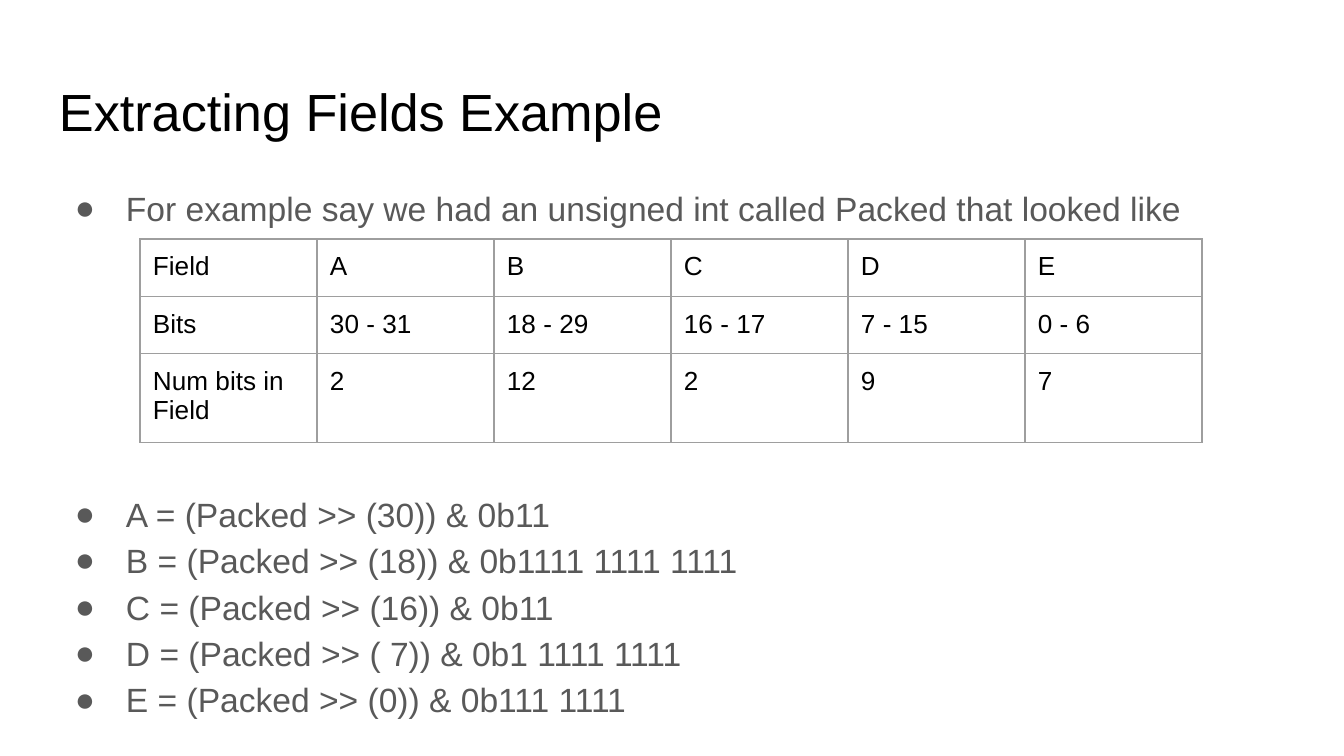
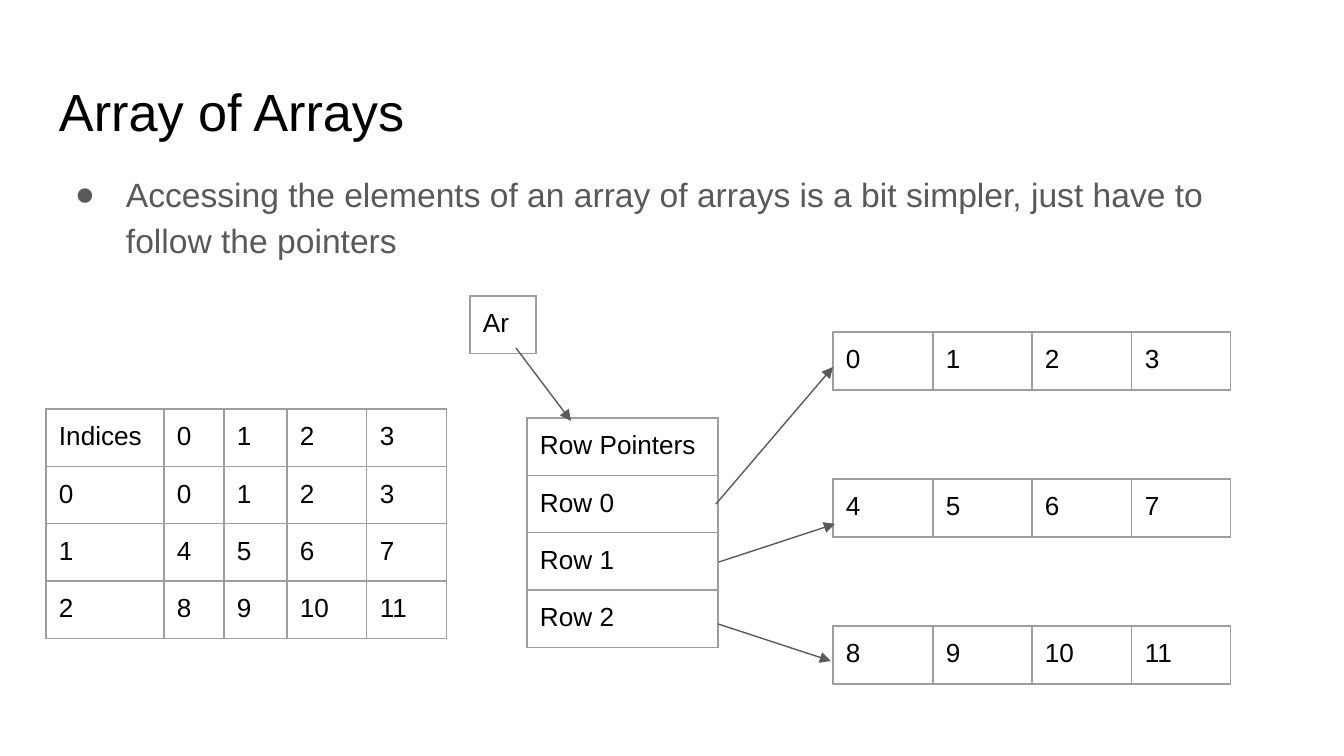
from lxml import etree
from pptx import Presentation
from pptx.dml.color import RGBColor
from pptx.enum.shapes import MSO_CONNECTOR
from pptx.oxml.ns import qn
from pptx.util import Pt

STRAIGHT = MSO_CONNECTOR.STRAIGHT
EMU_PER_PX = 914400 / 134.4
FONT = "Arial"
COLORS = {"title": "000000", "body": "595959", "border": "9E9E9E",
          "cell": "000000", "arrow": "595959"}
INSET = 13
ROW_H = 56
TITLE_BOX = (46, 66, 1252, 84)


def px(n):
    return round(n * EMU_PER_PX)


def rgb(name):
    return RGBColor.from_string(COLORS[name])


def set_margins(target):
    target.margin_left = target.margin_right = px(INSET)
    target.margin_top = target.margin_bottom = px(INSET)


def add_run(p, text, size, color):
    r = p.add_run()
    r.text = text
    r.font.name = FONT
    r.font.size = Pt(size)
    r.font.color.rgb = rgb(color)


def add_text_box(slide, box):
    tf = slide.shapes.add_textbox(*map(px, box)).text_frame
    tf.word_wrap = True
    set_margins(tf)
    return tf


def add_title(slide, text):
    tf = add_text_box(slide, TITLE_BOX)
    add_run(tf.paragraphs[0], text, 28, "title")


def set_bullet(p):
    pPr = p._p.get_or_add_pPr()
    pPr.set("marL", str(px(67)))
    pPr.set("indent", str(px(-51)))
    clr = etree.SubElement(pPr, qn("a:buClr"))
    etree.SubElement(clr, qn("a:srgbClr"), val=COLORS["body"])
    etree.SubElement(pPr, qn("a:buFont"), typeface=FONT)
    etree.SubElement(pPr, qn("a:buChar"), char="●")


def add_bullets(slide, box, items, gaps=None):
    gaps = gaps or {}
    tf = add_text_box(slide, box)
    for i, text in enumerate(items):
        p = tf.add_paragraph() if i else tf.paragraphs[0]
        p.line_spacing = 1.15
        p.space_before = Pt(gaps.get(i, 0))
        set_bullet(p)
        add_run(p, text, 18, "body")


def set_borders(cell):
    tcPr = cell._tc.get_or_add_tcPr()
    for i, side in enumerate(("lnL", "lnR", "lnT", "lnB")):
        ln = etree.Element(qn(f"a:{side}"), w=str(Pt(0.75)))
        fill = etree.SubElement(ln, qn("a:solidFill"))
        etree.SubElement(fill, qn("a:srgbClr"), val=COLORS["border"])
        tcPr.insert(i, ln)


def add_grid(slide, left, top, widths, heights, rows):
    box = (left, top, sum(widths), sum(heights))
    table = slide.shapes.add_table(len(rows), len(widths), *map(px, box)).table
    table.first_row = table.horz_banding = False
    for column, width in zip(table.columns, widths):
        column.width = px(width)
    for i, (row, height) in enumerate(zip(rows, heights)):
        table.rows[i].height = px(height)
        for j, text in enumerate(row):
            cell = table.cell(i, j)
            set_margins(cell)
            cell.fill.background()
            set_borders(cell)
            add_run(cell.text_frame.paragraphs[0], text, 14, "cell")


def add_arrow(slide, x1, y1, x2, y2):
    c = slide.shapes.add_connector(STRAIGHT, *map(px, (x1, y1, x2, y2)))
    c.line.color.rgb = rgb("arrow")
    c.line.width = Pt(0.75)
    spPr = c._element.spPr
    etree.SubElement(spPr.find(qn("a:ln")), qn("a:tailEnd"), type="triangle")
    etree.SubElement(spPr, qn("a:effectLst"))


def add_pointer_diagram(slide, left, top):
    add_grid(slide, left + 57, top + 122, [191], [ROW_H] * 4,
             [["Row Pointers"], ["Row 0"], ["Row 1"], ["Row 2"]])
    for i in range(3):
        values = [str(4 * i + j) for j in range(4)]
        add_grid(slide, left + 363, top + 36 + 147 * i,
                 [100, 99] * 2, [58], [values])
    add_grid(slide, left, top, [66], [ROW_H], [["Ar"]])
    for x1, y1, x2, y2 in ((46, 52, 101, 125), (246, 208, 363, 71),
                           (249, 266, 365, 228), (248, 328, 361, 365)):
        add_arrow(slide, left + x1, top + y1, left + x2, top + y2)


def build_fields_slide(slide):
    add_title(slide, "Extracting Fields Example")
    add_bullets(slide, (46, 169, 1252, 559), [
        "For example say we had an unsigned int called Packed that looked like",
        "A = (Packed >> (30)) & 0b11",
        "B = (Packed >> (18)) & 0b1111 1111 1111",
        "C = (Packed >> (16)) & 0b11",
        "D = (Packed >> ( 7)) & 0b1 1111 1111",
        "E = (Packed >> (0)) & 0b111 1111",
    ], gaps={1: 139})
    add_grid(slide, 140, 239, [177] * 6, [ROW_H, ROW_H, 86], [
        ["Field", "A", "B", "C", "D", "E"],
        ["Bits", "30 - 31", "18 - 29", "16 - 17", "7 - 15", "0 - 6"],
        ["Num bits in Field", "2", "12", "2", "9", "7"],
    ])


def build_arrays_slide(slide):
    add_title(slide, "Array of Arrays")
    add_bullets(slide, (46, 155, 1252, 503), [
        "Accessing the elements of an array of arrays is a bit simpler, "
        "just have to follow the pointers",
    ])
    rows = [["Indices", "0", "1", "2", "3"]]
    rows += [[str(i)] + [str(4 * i + j) for j in range(4)] for i in range(3)]
    add_grid(slide, 46, 409, [118, 60, 63, 80, 80], [ROW_H] * 4, rows)
    add_pointer_diagram(slide, 470, 296)


def main():
    prs = Presentation()
    prs.slide_width, prs.slide_height = px(1344), px(756)
    for build in (build_fields_slide, build_arrays_slide):
        build(prs.slides.add_slide(prs.slide_layouts[6]))
    prs.save("out.pptx")


if __name__ == "__main__":
    main()
